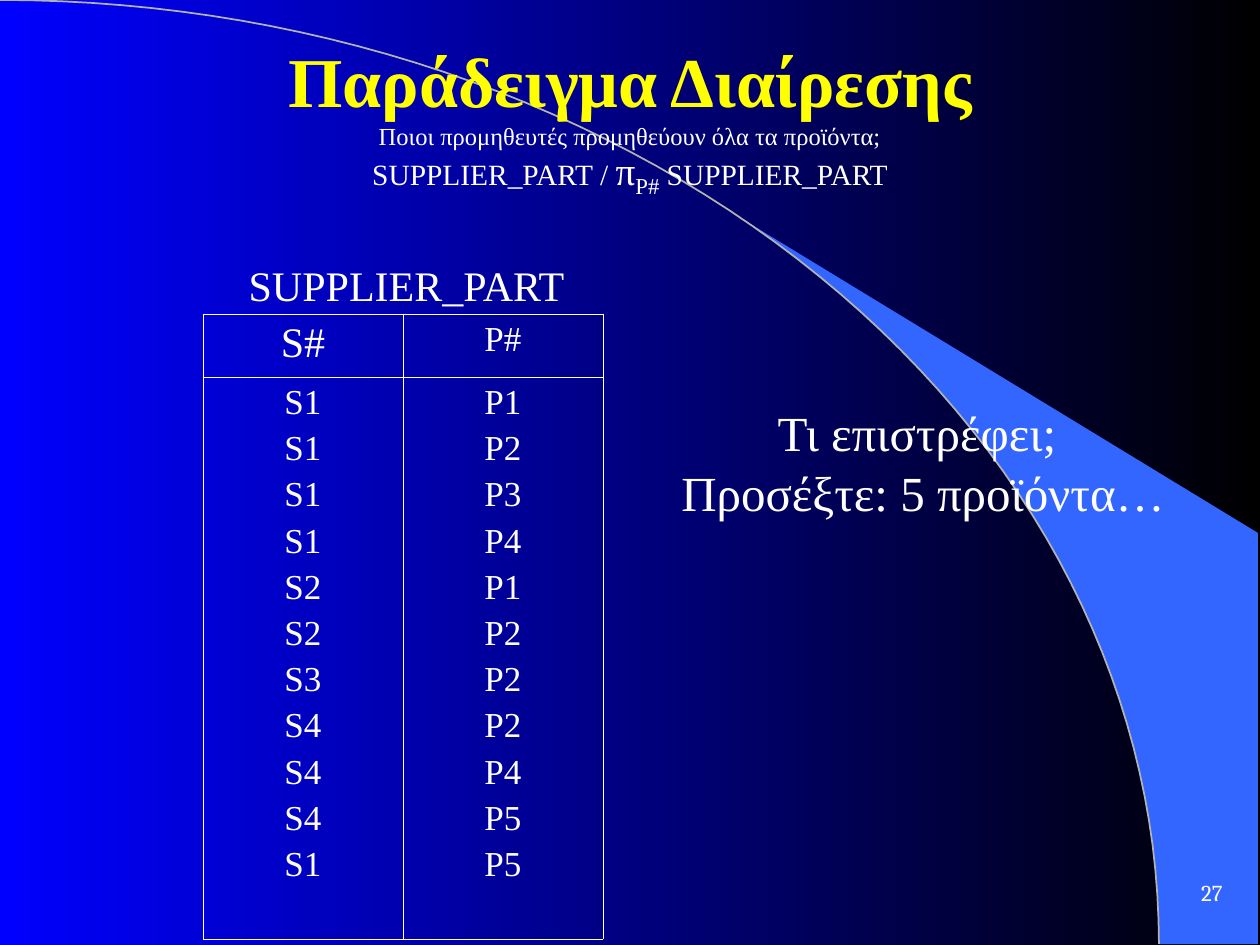
from math import asin, cos, pi, sin

from pptx import Presentation
from pptx.dml.color import RGBColor
from pptx.enum.text import MSO_ANCHOR, MSO_AUTO_SIZE, PP_ALIGN
from pptx.oxml.ns import qn
from pptx.util import Emu, Pt
from lxml.etree import SubElement

WHITE = RGBColor(0xFF, 0xFF, 0xFF)
YELLOW = RGBColor(0xFF, 0xFF, 0x00)
BLUE = RGBColor(0x00, 0x00, 0xFF)
BLACK = RGBColor(0x00, 0x00, 0x00)
CRESCENT = RGBColor(0x33, 0x66, 0xFF)
GREY = RGBColor(0xB2, 0xB2, 0xB2)

TITLE = "Παράδειγμα Διαίρεσης"
# A paragraph is a list of (text, size, baseline shift in percent) runs.
QUERY = [
    [("Ποιοι προμηθευτές προμηθεύουν όλα τα προϊόντα;", 14, 0)],
    [("SUPPLIER_PART / ", 16.8, 0), ("π", 22.4, 0), ("P#", 22.4, -25),
     (" SUPPLIER_PART", 16.8, 0)],
]
TABLE_NAME = "SUPPLIER_PART"
HEADERS = [("S#", 24), ("P#", 20)]
SUPPLIES = [("S1", "P1"), ("S1", "P2"), ("S1", "P3"), ("S1", "P4"),
            ("S2", "P1"), ("S2", "P2"), ("S3", "P2"), ("S4", "P2"),
            ("S4", "P4"), ("S4", "P5"), ("S1", "P5")]
QUESTION = ["Τι επιστρέφει; ", "Προσέξτε: 5 προϊόντα…"]
PAGE = "27"

ARC_W, ARC_H = 1159, 944
CRESCENT_START, CRESCENT_RIGHT, CRESCENT_CORNER = 742, 1258, 533


def px(v):
    return Emu(round(v * 914400 / 126))


def write(tf, paragraphs, size=20, color=WHITE, font="Times New Roman", bold=False,
          align=PP_ALIGN.CENTER, anchor=MSO_ANCHOR.TOP, wrap=True, before=0, line=None):
    """Fill a text frame; a paragraph is a string or a list of runs."""
    tf.word_wrap = wrap
    tf.auto_size = MSO_AUTO_SIZE.NONE
    tf.vertical_anchor = anchor
    for i, content in enumerate(paragraphs):
        p = tf.paragraphs[0] if i == 0 else tf.add_paragraph()
        pPr = p._p.get_or_add_pPr()
        pPr.set("marL", "0")
        pPr.set("indent", "0")
        SubElement(pPr, qn("a:buNone"))
        p.alignment = align
        p.space_before = Pt(before if i else 0)
        if line:
            p.line_spacing = line
        runs = [(content, size, 0)] if isinstance(content, str) else content
        for text, run_size, shift in runs:
            r = p.add_run()
            r.text = text
            r.font.size = Pt(run_size)
            r.font.name = font
            r.font.bold = bold
            r.font.color.rgb = color
            if shift:
                r._r.get_or_add_rPr().set("baseline", str(shift * 1000))


def place(sp, x, y, w, h):
    sp.left, sp.top, sp.width, sp.height = px(x), px(y), px(w), px(h)
    return sp


def arc_points(start, steps=60):
    """Points of the quarter ellipse from angle start to its lower right end."""
    angles = [start + (pi / 2 - start) * i / steps for i in range(steps + 1)]
    return [(ARC_W * sin(a), ARC_H * (1 - cos(a))) for a in angles]


def outline(s, points, close, depth):
    """Draw a freeform behind the text, at the given depth from the back."""
    points = [(px(x), px(y)) for x, y in points]
    builder = s.shapes.build_freeform(*points[0])
    builder.add_line_segments(points[1:], close=close)
    sp = builder.convert_to_shape()
    sp.shadow.inherit = False
    s.shapes._spTree.insert(2 + depth, sp._element)
    return sp


def add_backdrop(s):
    fill = s.background.fill
    fill.gradient()
    fill.gradient_angle = 0
    for stop, color in zip(fill.gradient_stops, (BLUE, BLACK)):
        stop.color.rgb = color

    edge = arc_points(asin(CRESCENT_START / ARC_W))
    corners = [(CRESCENT_RIGHT, ARC_H), (CRESCENT_RIGHT, CRESCENT_CORNER)]
    crescent = outline(s, edge + corners, True, 0)
    crescent.fill.solid()
    crescent.fill.fore_color.rgb = CRESCENT
    crescent.line.fill.background()

    arc = outline(s, arc_points(0), False, 1)
    arc.fill.background()
    arc.line.color.rgb = GREY
    arc.line.width = Pt(1)


def set_borders(cell):
    tcPr = cell._tc.get_or_add_tcPr()
    for i, side in enumerate(("lnL", "lnR", "lnT", "lnB")):
        ln = tcPr.makeelement(qn("a:" + side), {"w": str(Pt(0.45))})
        fill = SubElement(ln, qn("a:solidFill"))
        SubElement(fill, qn("a:srgbClr"), val=str(WHITE))
        tcPr.insert(i, ln)


def add_supply_table(s):
    table = s.shapes.add_table(2, 2, px(203), px(314), px(400), px(625)).table
    table.first_row = table.horz_banding = False
    for row, height in zip(table.rows, (63, 562)):
        row.height = px(height)
    for c, (header, size) in enumerate(HEADERS):
        table.columns[c].width = px(200)
        values = [supply[c] for supply in SUPPLIES]
        write(table.cell(0, c).text_frame, [header], size=size)
        write(table.cell(1, c).text_frame, values, before=4.2)
    for cell in table.iter_cells():
        cell.fill.background()
        set_borders(cell)


def main():
    prs = Presentation()
    prs.slide_width, prs.slide_height = px(1260), px(945)
    s = prs.slides.add_slide(prs.slide_layouts[1])
    add_backdrop(s)

    title = place(s.shapes.title, 95, 0, 1070, 158)
    write(title.text_frame, [TITLE], size=40, color=YELLOW, bold=True,
          anchor=MSO_ANCHOR.MIDDLE)
    body = place(s.placeholders[1], 95, 125, 1070, 73)
    write(body.text_frame, QUERY, before=6, line=0.6)

    add_supply_table(s)

    def add_text(x, y, w, h, paragraphs, **style):
        sp = s.shapes.add_textbox(px(x), px(y), px(w), px(h))
        write(sp.text_frame, paragraphs, **style)

    add_text(213, 235, 387, 100, [TABLE_NAME], size=24, wrap=False,
             anchor=MSO_ANCHOR.MIDDLE)
    add_text(640, 408, 566, 123, QUESTION, size=28, before=7, line=0.8)
    add_text(1164, 861, 71, 63, [PAGE], size=13, font="Cambria", wrap=False,
             align=PP_ALIGN.RIGHT, anchor=MSO_ANCHOR.MIDDLE)
    prs.save("out.pptx")


if __name__ == "__main__":
    main()
